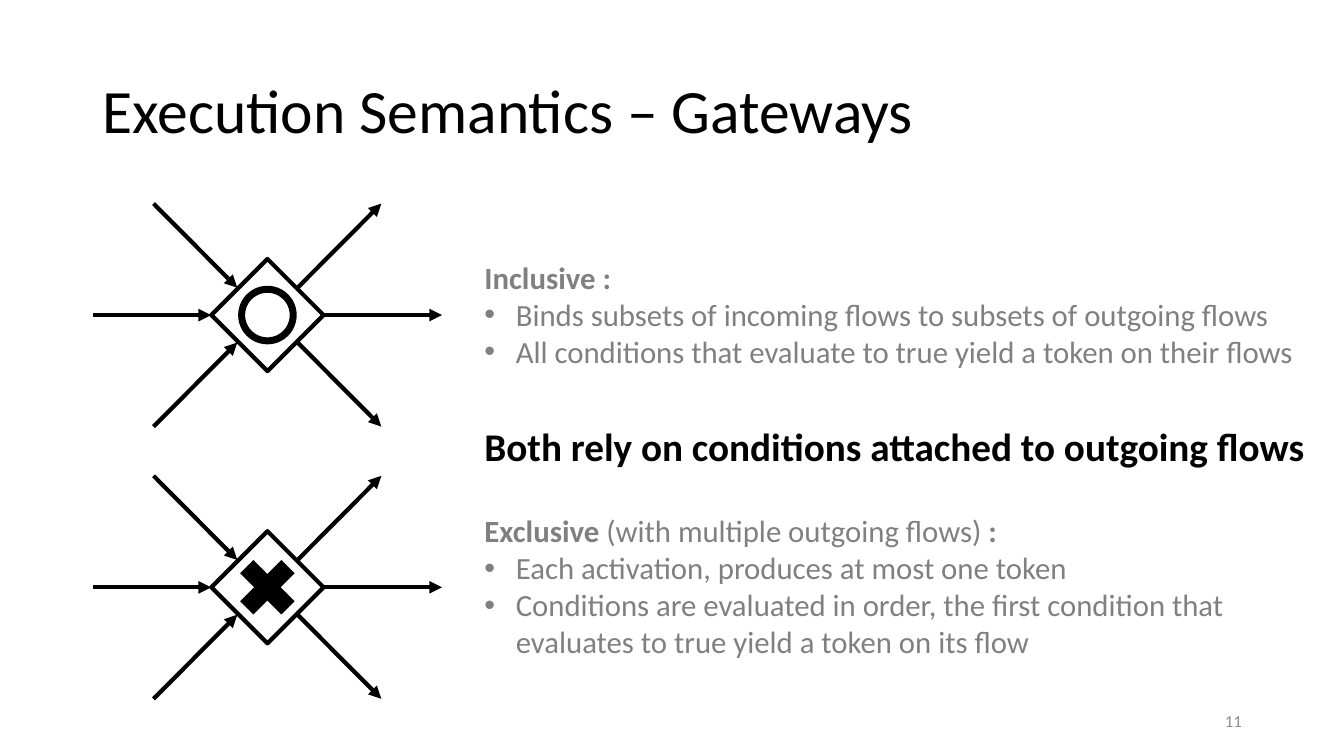
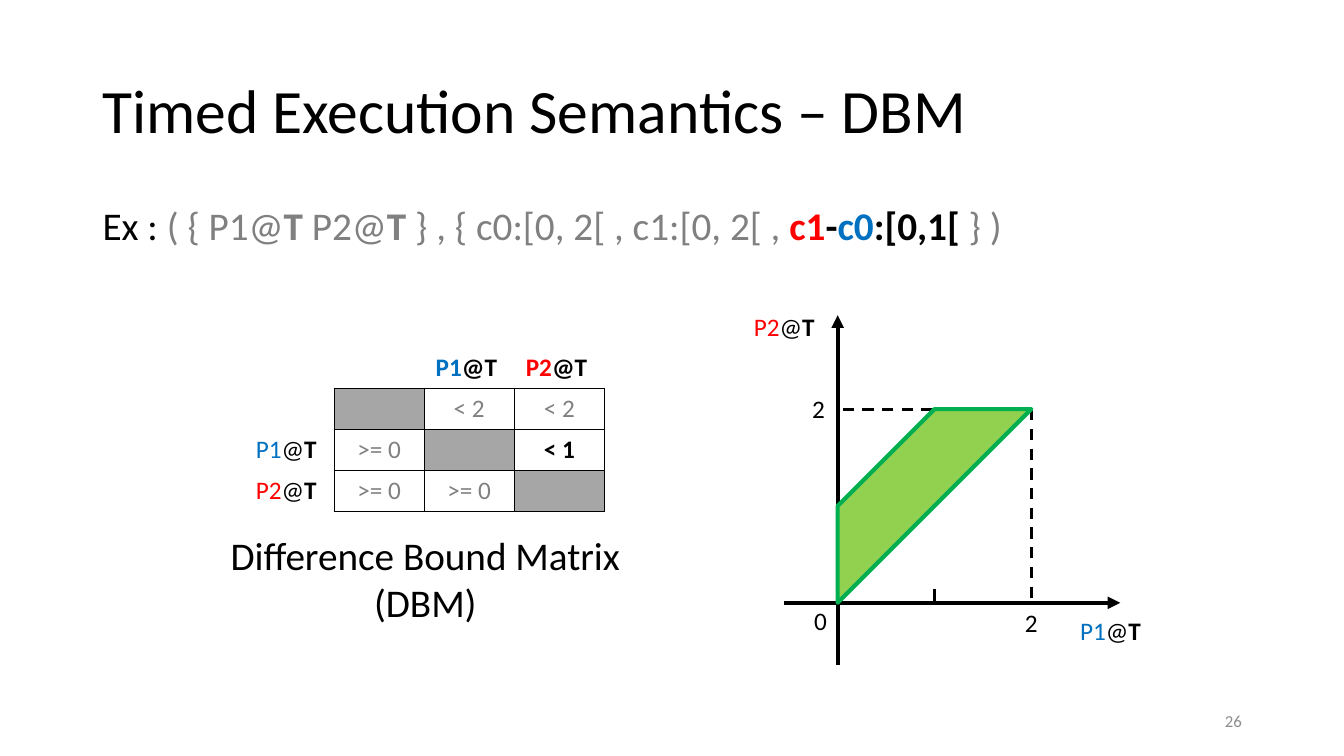
from lxml import etree
from pptx import Presentation
from pptx import util as u
from pptx.dml import color
from pptx.enum import dml, shapes, text
from pptx.oxml import ns

HUES = {
    "ink": "000000", "paper": "FFFFFF", "dim": "808080", "pale": "8C8C8C",
    "red": "FF0000", "blue": "0070C0", "gray": "A6A6A6",
    "lime": "92D050", "green": "00B050",
}
FACE = "Calibri"
LEFT, MID = text.PP_ALIGN.LEFT, text.PP_ALIGN.CENTER
KIND = shapes.MSO_SHAPE
EDGE = 2.33
WIDE = 29.21
NOTE = 11.96


def hue(name):
    return color.RGBColor.from_string(HUES[name])


def box(x, y, w, h):
    return [u.Cm(v) for v in (x, y, w, h)]


def child(node, tag, **attrs):
    return etree.SubElement(node, ns.qn(tag), attrs)


def write(frame, paras, size, tone="ink", align=LEFT, bold=False):
    for i, runs in enumerate(paras):
        para = frame.add_paragraph() if i else frame.paragraphs[0]
        para.alignment = align
        font = para.font
        font.name, font.size, font.bold = FACE, u.Pt(size), bold
        font.color.rgb = hue(tone)
        for words, *look in [(runs,)] if isinstance(runs, str) else runs:
            run = para.add_run()
            run.text = words
            if look:
                run.font.color.rgb = hue(look[0])
                run.font.bold = "bold" in look


def label(slide, spot, paras, size, **look):
    frame = slide.shapes.add_textbox(*box(*spot)).text_frame
    frame.word_wrap = True
    write(frame, paras, size, **look)
    return frame


def place(holder, spot, paras, size):
    holder.left, holder.top, holder.width, holder.height = box(*spot)
    frame = holder.text_frame
    frame.auto_size = text.MSO_AUTO_SIZE.NONE
    write(frame, paras, size)
    frame.paragraphs[0].line_spacing = 0.9
    return frame


def start(deck, layout, title, number):
    slide = deck.slides.add_slide(deck.slide_layouts[layout])
    frame = place(slide.shapes.title, (EDGE, 1.02, WIDE, 3.68), [title], 44)
    frame.vertical_anchor = text.MSO_ANCHOR.MIDDLE
    foot = label(slide, (23.93, 17.65, 7.62, 1.02), [number], 12,
                 tone="pale", align=text.PP_ALIGN.RIGHT)
    foot.vertical_anchor = text.MSO_ANCHOR.MIDDLE
    return slide


def line(slide, a, b, width=3, arrow=False, dash=False):
    wire = slide.shapes.add_connector(
        shapes.MSO_CONNECTOR.STRAIGHT, *box(*a, *b))
    wire.line.color.rgb = hue("ink")
    wire.line.width = u.Pt(width)
    if dash:
        wire.line.dash_style = dml.MSO_LINE.DASH
    if arrow:
        child(wire.line._get_or_add_ln(), "a:tailEnd", type="triangle")
    child(wire._element.spPr, "a:effectLst")


def paint(shape, fill=None, edge=None, width=3):
    shape.shadow.inherit = False
    if fill:
        shape.fill.solid()
        shape.fill.fore_color.rgb = hue(fill)
    else:
        shape.fill.background()
    if edge:
        shape.line.color.rgb = hue(edge)
        shape.line.width = u.Pt(width)
    else:
        shape.line.fill.background()


def mark(slide, kind, x, y, side, **look):
    shape = slide.shapes.add_shape(
        kind, *box(x - side / 2, y - side / 2, side, side))
    paint(shape, **look)
    return shape


def gateway(slide, x, y):
    mark(slide, KIND.RECTANGLE, x, y, 2, edge="ink").rotation = 45
    for way in (-1, 0, 1):
        near, far = (0.76, 2.87) if way else (1.42, 4.4)
        low, high = y + way * 0.69, y + way * 2.81
        line(slide, (x - far, high), (x - near, low), arrow=True)
        line(slide, (x + near, low), (x + far, high), arrow=True)


def notes(slide, y, h, head, points):
    frame = label(slide, (NOTE, y, 20.93, h), [head, *points], 22, tone="dim")
    for para in frame.paragraphs[1:]:
        props = para._p.get_or_add_pPr()
        props.set("marL", str(u.Cm(0.79)))
        props.set("indent", str(-u.Cm(0.79)))
        bullet = etree.Element(ns.qn("a:buChar"), {"char": "•"})
        props.insert(0, bullet)
        face = etree.Element(ns.qn("a:buFont"), {"typeface": "Arial"})
        props.insert(0, face)


def border(cell, row, col):
    inner = row and col
    sides = {"L": inner, "R": row, "T": inner, "B": col}
    props = cell._tc.get_or_add_tcPr()
    for side, dark in sides.items():
        rule = child(props, "a:ln" + side, w=str(u.Pt(1)))
        fill = child(rule, "a:solidFill")
        child(fill, "a:srgbClr", val=HUES["ink" if dark else "paper"])


def matrix(slide, x, y, rows, wide, high):
    count = len(rows)
    grid = slide.shapes.add_table(
        count, count, *box(x, y, wide * count, high * count)).table
    grid.first_row = grid.horz_banding = False
    for r, row in enumerate(rows):
        grid.rows[r].height = u.Cm(high)
        grid.columns[r].width = u.Cm(wide)
        for c, runs in enumerate(row):
            cell = grid.cell(r, c)
            border(cell, r, c)
            if r and r == c:
                cell.fill.solid()
                cell.fill.fore_color.rgb = hue("gray")
            else:
                cell.fill.background()
            write(cell.text_frame, [runs], 18, tone="dim", align=MID)


def clock(name, tone, tail=""):
    return [(name, tone), ("@", "ink"), ("T" + tail, "ink", "bold")]


def graph(slide, x, y, unit):
    def at(a, b):
        return x + a * unit, y - b * unit

    line(slide, at(2, 2), at(0, 2), 2, dash=True)
    line(slide, at(2, 2), at(2, 0), 2, dash=True)
    line(slide, at(0, 1), at(0.14, 1), 2)
    line(slide, at(1, 0.14), at(1, 0), 2)
    line(slide, at(0, -0.64), at(0, 2.97), arrow=True)
    line(slide, at(-0.55, 0), at(2.92, 0), arrow=True)
    zone = [box(*at(*p), 0, 0)[:2] for p in ((0, 0), (0, 1), (1, 2), (2, 2))]
    path = slide.shapes.build_freeform(*zone[0])
    path.add_line_segments(zone[1:], close=True)
    paint(path.convert_to_shape(), fill="lime", edge="green")
    for left, top, runs in (
        (25.58, 15.19, "2"),
        (20.22, 9.78, "2"),
        (20.27, 15.14, "0"),
        (26.97, 15.39, clock("P1", "blue")),
        (18.75, 7.72, clock("P2", "red")),
    ):
        label(slide, (left, top, 2.2, 1.02), [runs], 18)


def gates(deck):
    slide = start(deck, 5, "Execution Semantics – Gateways", "11")
    x, top, low = 6.74, 7.94, 14.8
    for y in (top, low):
        gateway(slide, x, y)
    mark(slide, KIND.OVAL, x, top, 1.3, edge="ink", width=5)
    mark(slide, KIND.MATH_MULTIPLY, x, low, 2, fill="ink")
    notes(slide, 6.4, 3.07, [("Inclusive :", "dim", "bold")], [
        "Binds subsets of incoming flows to subsets of outgoing flows",
        "All conditions that evaluate to true yield a token on their flows",
    ])
    label(slide, (NOTE, 10.52, 21.6, 2.24),
          ["Both rely on conditions attached to outgoing flows"], 28, bold=True)
    notes(slide, 12.78, 4.01, [
        ("Exclusive ", "dim", "bold"),
        ("(with multiple outgoing flows) ", "dim"),
        (":", "dim", "bold"),
    ], [
        "Each activation, produces at most one token",
        "Conditions are evaluated in order, the first condition that "
        "evaluates to true yield a token on its flow",
    ])


def bounds(deck):
    slide = start(deck, 1, "Timed Execution Semantics – DBM", "26")
    runs = [
        ("Ex : ", "ink"), ("( { P1@", "dim"), ("T", "dim", "bold"),
        (" P2@", "dim"), ("T", "dim", "bold"),
        (" } , { c0:[0, 2[ , c1:[0, 2[ , ", "dim"), ("c1", "red", "bold"),
        ("-", "ink", "bold"), ("c0", "blue", "bold"),
        (":[0,1[ ", "ink", "bold"), ("} )", "dim"),
    ]
    frame = place(slide.placeholders[1], (EDGE, 5.08, WIDE, 12.09), [runs], 28)
    para = frame.paragraphs[0]
    para.space_before = u.Pt(10)
    props = para._p.get_or_add_pPr()
    props.set("marL", "0")
    props.set("indent", "0")
    props.find(ns.qn("a:spcBef")).addnext(etree.Element(ns.qn("a:buNone")))
    heads = [[(name, tone, "bold"), ("@T ", "ink", "bold")]
             for name, tone in (("P1", "blue"), ("P2", "red"))]
    matrix(slide, 6.15, 8.76, [
        ["", "", *heads],
        ["", "", "< 2", "< 2"],
        [clock("P1", "blue", " "), ">= 0", "", [("< 1", "ink", "bold")]],
        [clock("P2", "red", " "), ">= 0", ">= 0", ""],
    ], 2.27, 1.03)
    label(slide, (4.72, 13.26, 12, 2.64),
          ["Difference Bound Matrix", "(DBM)"], 28, align=MID)
    graph(slide, 21.11, 15.19, 2.44)


def main():
    deck = Presentation()
    deck.slide_width, deck.slide_height = u.Cm(33.87), u.Cm(19.05)
    gates(deck)
    bounds(deck)
    deck.save("out.pptx")


if __name__ == "__main__":
    main()
